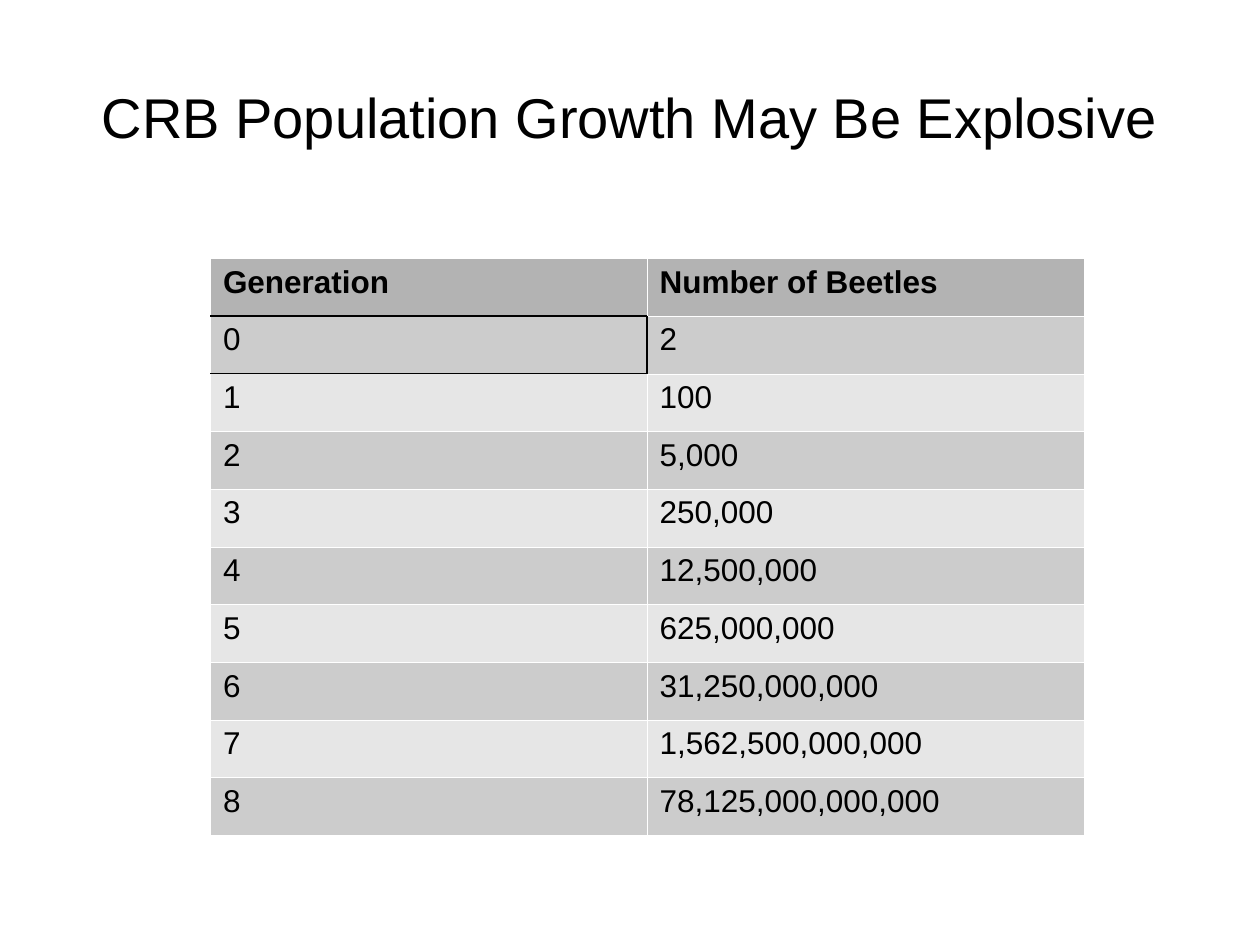
from pptx import Presentation
from pptx.dml.color import RGBColor
from pptx.enum.text import MSO_ANCHOR as Anchor, PP_ALIGN as Align
from pptx.oxml.ns import qn
from pptx.util import Inches, Pt
from lxml.etree import SubElement

FONT = "Arial"
BLACK, WHITE = "000000", "FFFFFF"
HEADER_FILL, BAND_FILLS = "B3B3B3", ("E6E6E6", "CCCCCC")
HEADINGS = ("Generation", "Number of Beetles")
FIRST_COUNT, GROWTH, LAST_GENERATION = 2, 50, 8

# Black edges around the starting generation, by (row, column)
BLACK_EDGES = {(0, 0): "B", (1, 0): "TRB", (1, 1): "L", (2, 0): "T"}


def color(hex_value):
    return RGBColor.from_string(hex_value)


def style_text(para, size, bold=False):
    font = para.font
    font.name, font.size, font.bold = FONT, Pt(size), bold
    font.color.rgb = color(BLACK)


def add_title(page, text):
    title = page.shapes.title
    title.left, title.top = Inches(0.5), Inches(0.3)
    title.width, title.height = Inches(9), Inches(1.25)
    frame = title.text_frame
    frame.text = text
    frame.word_wrap = True
    frame.vertical_anchor = Anchor.MIDDLE
    frame.margin_left = frame.margin_right = 0
    frame.margin_top = frame.margin_bottom = 0
    para = frame.paragraphs[0]
    para.alignment = Align.CENTER
    style_text(para, 32)


def set_borders(cell, black_edges):
    properties = cell._tc.get_or_add_tcPr()
    for edge in "LRTB":
        is_black = edge in black_edges
        width = Pt(1) if is_black else Pt(0.06)
        line = SubElement(properties, qn(f"a:ln{edge}"), w=str(width))
        fill = SubElement(line, qn("a:solidFill"))
        SubElement(fill, qn("a:srgbClr"), val=BLACK if is_black else WHITE)


def fill_cell(cell, text, fill, bold, black_edges):
    cell.text = text
    style_text(cell.text_frame.paragraphs[0], 18, bold)
    set_borders(cell, black_edges)
    cell.fill.solid()
    cell.fill.fore_color.rgb = color(fill)


def add_growth_table(page, rows):
    frame = page.shapes.add_table(
        len(rows), len(HEADINGS),
        Inches(1.67), Inches(2.05), Inches(6.93), Inches(4.58))
    table = frame.table
    for row_index, row in enumerate(rows):
        is_header = row_index == 0
        fill = HEADER_FILL if is_header else BAND_FILLS[row_index % 2]
        for column_index, text in enumerate(row):
            fill_cell(table.cell(row_index, column_index), text, fill, is_header,
                      BLACK_EDGES.get((row_index, column_index), ""))


def main():
    deck = Presentation()
    deck.slide_width, deck.slide_height = Inches(10), Inches(7.5)
    page = deck.slides.add_slide(deck.slide_layouts[5])

    # Each generation multiplies the beetles by the growth factor
    generations = [(str(number), f"{FIRST_COUNT * GROWTH ** number:,}")
                   for number in range(LAST_GENERATION + 1)]
    add_growth_table(page, [HEADINGS] + generations)
    add_title(page, "CRB Population Growth May Be Explosive")

    deck.save("out.pptx")


if __name__ == "__main__":
    main()
